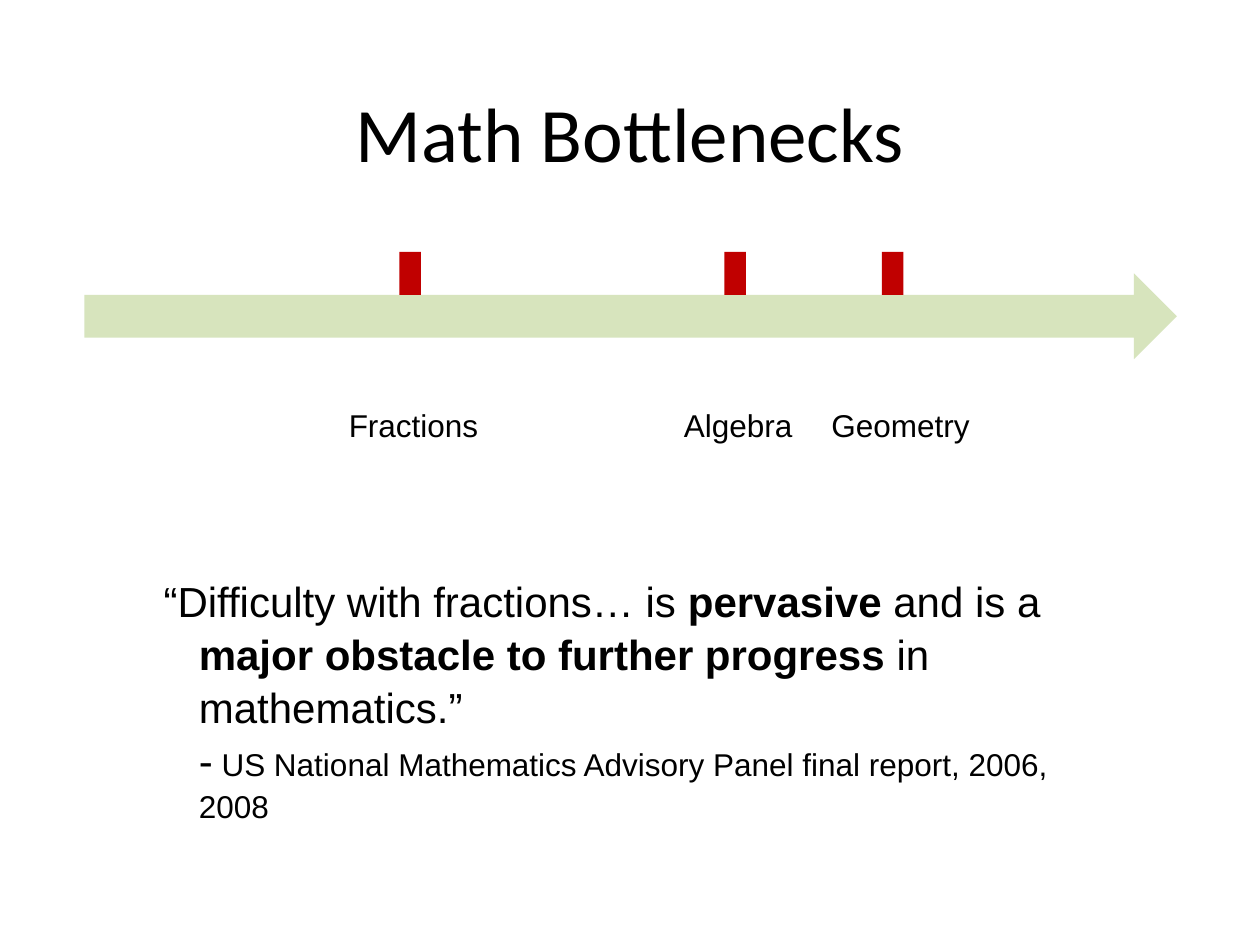
"""Build the Math Bottlenecks slide with its timeline and quotation."""
from pptx import Presentation
from pptx.dml.color import RGBColor
from pptx.enum.shapes import MSO_SHAPE
from pptx.enum.text import MSO_ANCHOR, MSO_AUTO_SIZE, PP_ALIGN
from pptx.util import Inches, Pt

ARROW, RECT = MSO_SHAPE.RIGHT_ARROW, MSO_SHAPE.RECTANGLE
MIDDLE, CENTER = MSO_ANCHOR.MIDDLE, PP_ALIGN.CENTER
GROW = MSO_AUTO_SIZE.SHAPE_TO_FIT_TEXT
COLORS = {"text": "000000", "arrow": "D7E4BD", "mark": "C00000"}

deck = Presentation()
deck.slide_width, deck.slide_height = Inches(10), Inches(7.5)
slide = deck.slides.add_slide(deck.slide_layouts[6])


def add_box(left, top, width, height, wrap=True):
    box = slide.shapes.add_textbox(*map(Inches, (left, top, width, height)))
    box.text_frame.word_wrap = wrap
    return box.text_frame


def add_run(para, text, size, name="Arial", bold=False):
    run = para.add_run()
    run.text = text
    style = {"size": Pt(size), "name": name, "bold": bold}
    for key, value in style.items():
        setattr(run.font, key, value)
    run.font.color.rgb = RGBColor.from_string(COLORS["text"])


title = add_box(0.5, 0.42, 9, 1.25)
title.vertical_anchor = MIDDLE
title.paragraphs[0].alignment = CENTER
add_run(title.paragraphs[0], "Math Bottlenecks", 44, "Calibri")

shapes = [(ARROW, "arrow", 0.67, 2.17, 8.67, 0.68)]
shapes += [(RECT, "mark", left, 2, 0.17, 0.34) for left in (3.17, 5.75, 7)]
for kind, color, *place in shapes:
    shape = slide.shapes.add_shape(kind, *map(Inches, place))
    shape.shadow.inherit = False
    shape.fill.solid()
    shape.fill.fore_color.rgb = RGBColor.from_string(COLORS[color])
    shape.line.fill.background()

labels = [("Fractions", 2.67, 1.24), ("Algebra", 5.33, 1.07), ("Geometry", 6.5, 1.31)]
for text, left, width in labels:
    label = add_box(left, 3.17, width, 0.4, wrap=False)
    label.auto_size = GROW
    add_run(label.paragraphs[0], text, 18)

quote = [
    ("“Difficulty with fractions… is ", 24, False),
    ("pervasive", 24, True),
    (" and is a ", 24, False),
    ("major obstacle to further progress ", 24, True),
    ("in mathematics.”", 24, False),
]
source = [
    ("-", 24, False),
    (" US National Mathematics Advisory Panel final report, 2006, 2008", 18, False),
]
frame = add_box(1.08, 4.5, 7.67, 2.19)
for para, runs, indent in (
    (frame.paragraphs[0], quote, -0.28),
    (frame.add_paragraph(), source, 0),
):
    para.line_spacing = 1.05
    props = para._p.get_or_add_pPr()
    props.set("marL", str(Inches(0.4)))
    props.set("indent", str(Inches(indent)))
    for text, size, bold in runs:
        add_run(para, text, size, bold=bold)

deck.save("out.pptx")
